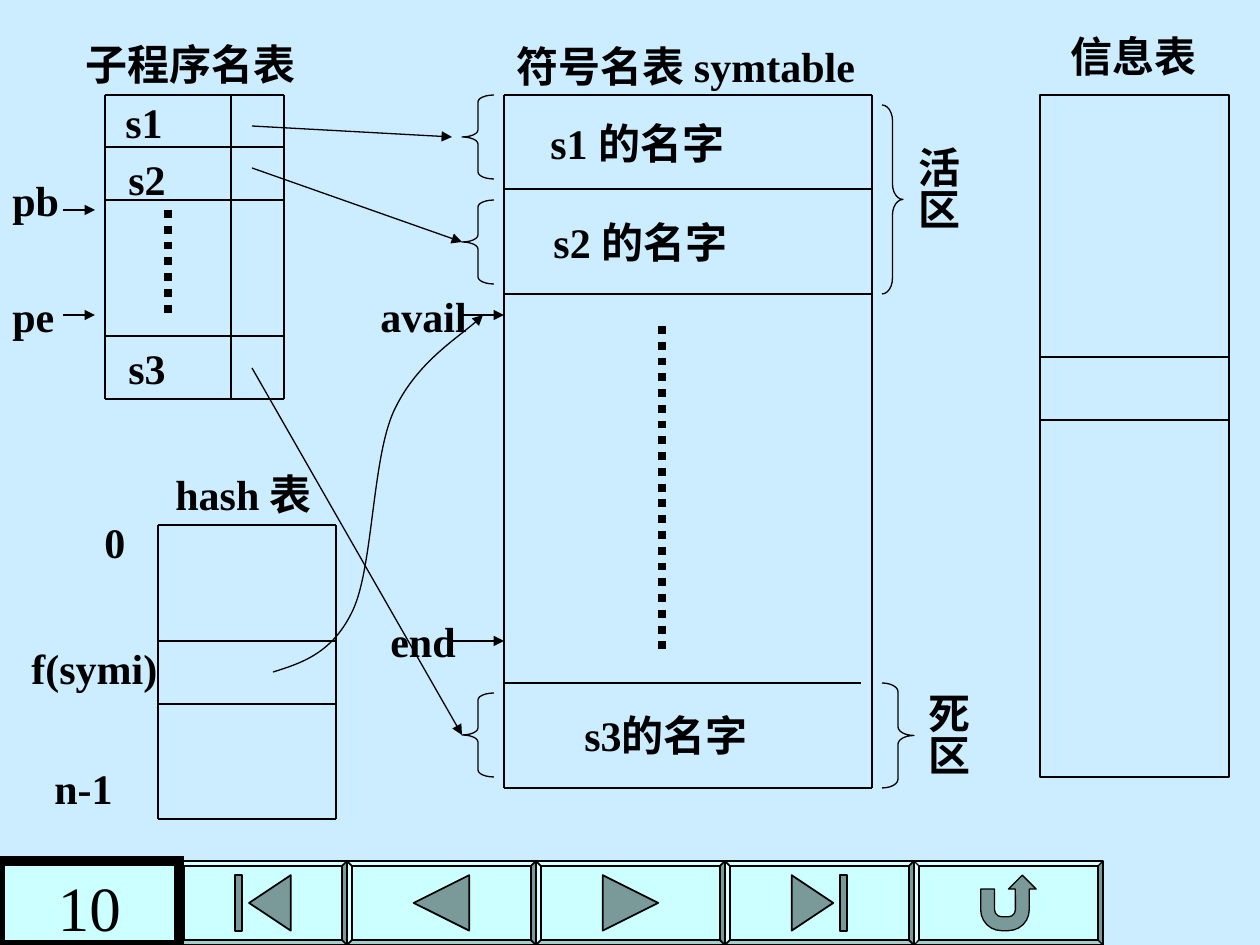
import itertools

import pptx
import pptx.dml.color
import pptx.enum.dml
import pptx.enum.shapes
import pptx.enum.text
import pptx.oxml.ns
import pptx.util
from lxml import etree

COLORS = {"background": "CCECFF", "button": "CCFFFF", "ink": "000000"}
FONT = "Times New Roman"
SHAPE = pptx.enum.shapes.MSO_SHAPE
qn = pptx.oxml.ns.qn


def px(n):
    """Convert pixels, 126 to the inch, to EMU."""
    return pptx.util.Emu(round(n * 914400 / 126))


def rgb(name):
    """Look up a named colour."""
    return pptx.dml.color.RGBColor.from_string(COLORS[name])


def style_line(s, width=0.75, arrow=False):
    """Give an outline its colour, width and optional arrowhead."""
    s.line.color.rgb = rgb("ink")
    s.line.width = pptx.util.Pt(width)
    if arrow:
        etree.SubElement(s.line._get_or_add_ln(), qn("a:tailEnd"), type="triangle")


def add_line(slide, x1, y1, x2, y2, arrow=False, dotted=False):
    """Draw a straight line, arrow or thick dotted line."""
    s = slide.shapes.add_connector(
        pptx.enum.shapes.MSO_CONNECTOR.STRAIGHT, px(x1), px(y1), px(x2), px(y2))
    if dotted:
        s.line.dash_style = pptx.enum.dml.MSO_LINE.ROUND_DOT
    style_line(s, 4.5 if dotted else 0.75, arrow)
    etree.SubElement(s._element.spPr, qn("a:effectLst"))


def add_grid(slide, xs, ys):
    """Draw a ruled frame with lines at the given columns and rows."""
    for y in ys:
        add_line(slide, xs[0], y, xs[-1], y)
    for x in xs:
        add_line(slide, x, ys[0], x, ys[-1])


def add_shape(slide, kind, x, y, w, h, fill=None, width=0.75):
    """Add a preset shape with a plain outline."""
    s = slide.shapes.add_shape(kind, px(x), px(y), px(w), px(h))
    s.shadow.inherit = False
    if fill:
        s.fill.solid()
        s.fill.fore_color.rgb = rgb(fill)
    else:
        s.fill.background()
    style_line(s, width)
    return s


def add_brace(slide, kind, x, y, w, h):
    """Add a brace whose curls take a twelfth of its height."""
    s = add_shape(slide, kind, x, y, w, h)
    s.adjustments[0] = h / (12 * w)


def add_button(slide, kind, x, y, w, h, width):
    """Add a bevelled frame with an action button set inside it."""
    edge = 5
    frame = add_shape(slide, SHAPE.BEVEL, x, y, w, h, "button", width)
    frame.adjustments[0] = edge / h
    add_shape(slide, kind, x + edge, y + edge, w - 2 * edge, h - 2 * edge,
              "button", width)


def set_text(tf, text, size, bold):
    """Write one paragraph in the slide font."""
    p = tf.paragraphs[0]
    p.text = text
    p.font.name = FONT
    p.font.size = pptx.util.Pt(size)
    p.font.bold = bold
    p.font.color.rgb = rgb("ink")
    return p


def add_label(slide, text, x, y, w, h=63, vertical=False):
    """Add a bold label, optionally with stacked characters."""
    tf = slide.shapes.add_textbox(px(x), px(y), px(w), px(h)).text_frame
    tf.word_wrap = False
    tf.auto_size = pptx.enum.text.MSO_AUTO_SIZE.SHAPE_TO_FIT_TEXT
    if vertical:
        tf._txBody.bodyPr.set("vert", "eaVert")
        tf.margin_left = tf.margin_right = pptx.util.Inches(0.05)
        tf.margin_top = tf.margin_bottom = pptx.util.Inches(0.1)
    set_text(tf, text, 24, True)


def add_curved_arrow(slide, start, points):
    """Draw an arrow through cubic segments, three points each."""
    builder = slide.shapes.build_freeform(px(start[0]), px(start[1]))
    builder.add_line_segments([(px(x), px(y)) for x, y in points], close=False)
    s = builder.convert_to_shape()
    s.shadow.inherit = False
    s.fill.background()
    style_line(s, arrow=True)
    lines = list(s._element.iter(qn("a:lnTo")))
    outline = lines[0].getparent()
    for i in range(0, len(lines), 3):
        curve = etree.SubElement(outline, qn("a:cubicBezTo"))
        for line in lines[i:i + 3]:
            curve.append(line[0])
            outline.remove(line)


def add_navigation(slide):
    """Add the row of action buttons and the page number box."""
    buttons = (SHAPE.ACTION_BUTTON_BEGINNING, SHAPE.ACTION_BUTTON_BACK_OR_PREVIOUS,
               SHAPE.ACTION_BUTTON_FORWARD_OR_NEXT, SHAPE.ACTION_BUTTON_END,
               SHAPE.ACTION_BUTTON_RETURN)
    edges = itertools.pairwise((179, 347, 536, 725, 914, 1103))
    for kind, (left, right) in zip(buttons, edges):
        width = 0.75 if kind == SHAPE.ACTION_BUTTON_RETURN else 1
        add_button(slide, kind, left, 861, right - left, 84, width)
    box = add_shape(slide, SHAPE.RECTANGLE, 0, 861, 179, 84, "button", 6)
    etree.SubElement(box.line._get_or_add_ln(), qn("a:miter"), lim="800000")
    tf = box.text_frame
    tf.vertical_anchor = pptx.enum.text.MSO_ANCHOR.TOP
    tf.margin_top = px(7)
    tf.margin_bottom = 0
    p = set_text(tf, "10", 36, False)
    p.alignment = pptx.enum.text.PP_ALIGN.CENTER


def add_tables(slide):
    """Draw the four tables and their elided rows."""
    add_grid(slide, (105, 231, 284), (95, 147, 200, 336, 399))
    add_grid(slide, (158, 336), (525, 641, 704, 819))
    add_grid(slide, (504, 872), (95, 189, 294, 788))
    add_line(slide, 504, 683, 861, 683)
    add_shape(slide, SHAPE.RECTANGLE, 1040, 95, 189, 682)
    for y in (357, 420):
        add_line(slide, 1040, y, 1229, y)
    add_line(slide, 168, 210, 168, 315, dotted=True)
    add_line(slide, 662, 326, 662, 651, dotted=True)


def add_pointers(slide):
    """Draw the braces and the arrows between tables."""
    for y in (95, 200, 693):
        add_brace(slide, SHAPE.LEFT_BRACE, 462, y, 32, 84)
    add_brace(slide, SHAPE.RIGHT_BRACE, 882, 105, 21, 189)
    add_brace(slide, SHAPE.RIGHT_BRACE, 882, 683, 32, 105)
    arrows = ((63, 210, 95, 210), (63, 315, 95, 315), (252, 126, 452, 137),
              (252, 168, 462, 242), (252, 368, 462, 735),
              (462, 315, 504, 315), (452, 641, 504, 641))
    for ends in arrows:
        add_line(slide, *ends, arrow=True)
    add_curved_arrow(slide, (273, 672), (
        (302, 663), (333, 653), (353, 610), (373, 567), (372, 462),
        (393, 413), (415, 364), (466, 333), (483, 315)))


def add_labels(slide):
    """Write the headings, row names and zone names."""
    labels = (
        ("子程序名表", 73, 32, 236), ("符号名表 symtable", 504, 34, 386),
        ("信息表", 1058, 24, 152), ("hash 表", 163, 462, 173),
        ("pb", 0, 168, 73), ("pe", 0, 284, 68),
        ("s1", 113, 90, 63), ("s2", 116, 147, 63), ("s3", 116, 336, 63),
        ("0", 92, 510, 47), ("f(symi)", 19, 636, 152), ("n-1", 42, 756, 84),
        ("s1 的名字", 538, 111, 209), ("s2 的名字", 541, 210, 209),
        ("s3的名字", 572, 703, 199), ("avail", 368, 284, 134), ("end", 378, 609, 91))
    for label in labels:
        add_label(slide, *label)
    add_label(slide, "活区", 893, 134, 77, 97, vertical=True)
    add_label(slide, "死区", 903, 680, 77, 97, vertical=True)


def main():
    """Build and save the slide."""
    prs = pptx.Presentation()
    prs.slide_width, prs.slide_height = px(1260), px(945)
    slide = prs.slides.add_slide(prs.slide_layouts[6])
    slide.background.fill.solid()
    slide.background.fill.fore_color.rgb = rgb("background")
    add_navigation(slide)
    add_tables(slide)
    add_pointers(slide)
    add_labels(slide)
    prs.save("out.pptx")


if __name__ == "__main__":
    main()
